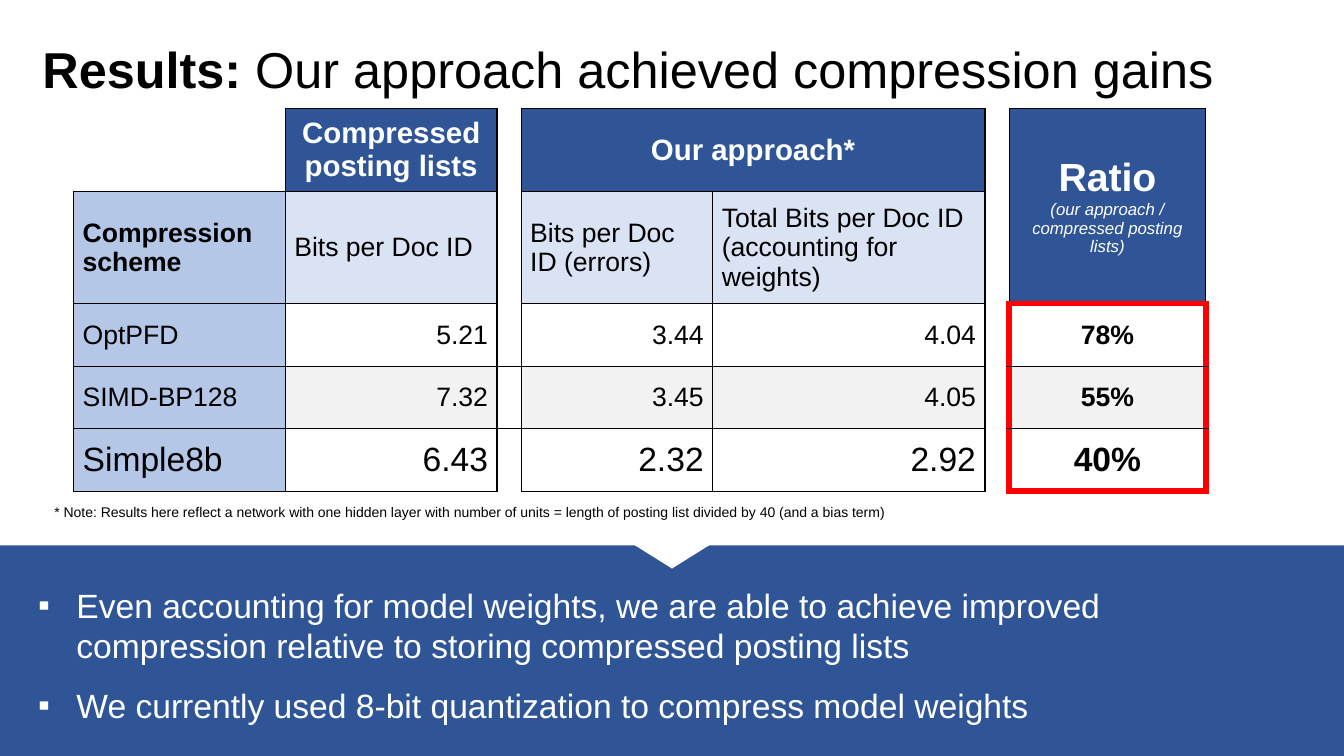
from lxml import etree
from pptx import Presentation
from pptx.dml.color import RGBColor
from pptx.enum.shapes import MSO_SHAPE
from pptx.enum.text import MSO_ANCHOR, PP_ALIGN
from pptx.oxml.ns import qn
from pptx.util import Pt

PX = 9144
LEFT, CENTER, RIGHT = PP_ALIGN.LEFT, PP_ALIGN.CENTER, PP_ALIGN.RIGHT
MIDDLE = MSO_ANCHOR.MIDDLE
RECTANGLE, TRIANGLE = MSO_SHAPE.RECTANGLE, MSO_SHAPE.ISOSCELES_TRIANGLE
BLACK, WHITE, RED = "000000", "FFFFFF", "FF0000"
NAVY, SKY, PALE, GREY = "2F5597", "B4C7E7", "DAE3F3", "F2F2F2"


def color(hex_value):
    return RGBColor.from_string(hex_value)


def add_run(paragraph, text, size, hex_value, bold=False, italic=False):
    run = paragraph.add_run()
    run.text = text
    run.font.name = "Arial"
    run.font.size = Pt(size)
    run.font.bold = bold
    run.font.italic = italic
    run.font.color.rgb = color(hex_value)


deck = Presentation()
deck.slide_width, deck.slide_height = 1333 * PX, 750 * PX
slide = deck.slides.add_slide(deck.slide_layouts[5])

title = slide.shapes.title
title.left, title.top, title.width, title.height = 32 * PX, 23 * PX, 1258 * PX, 98 * PX
title.text_frame.vertical_anchor = MIDDLE
heading = title.text_frame.paragraphs[0]
heading.alignment = LEFT
heading.line_spacing = 0.9
add_run(heading, "Results: ", 36, BLACK, bold=True)
add_run(heading, "Our approach achieved compression gains", 36, BLACK)

column_widths = [210, 210, 23, 190, 270, 23, 195]
row_heights = [82, 109, 62, 62, 62]
results = slide.shapes.add_table(
    5, 7, 73 * PX, 108 * PX, sum(column_widths) * PX, sum(row_heights) * PX).table
results.first_row = False
results.horz_banding = False
for column, width in zip(results.columns, column_widths):
    column.width = width * PX
for row, height in zip(results.rows, row_heights):
    row.height = height * PX
results.cell(0, 3).merge(results.cell(0, 4))
results.cell(0, 6).merge(results.cell(1, 6))

contents = [
    ["", "Compressed posting lists", "", "Our approach*", "", "", "Ratio"],
    ["Compression scheme", "Bits per Doc ID", "", "Bits per Doc ID (errors)",
     "Total Bits per Doc ID (accounting for weights)", "", ""],
    ["OptPFD", "5.21", "", "3.44", "4.04", "", "78%"],
    ["SIMD-BP128", "7.32", "", "3.45", "4.05", "", "55%"],
    ["Simple8b", "6.43", "", "2.32", "2.92", "", "40%"],
]
row_fills = [NAVY, PALE, WHITE, GREY, WHITE]
row_sizes = [21, 19, 19, 19, 24]

for r, texts in enumerate(contents):
    for c, text in enumerate(texts):
        cell = results.cell(r, c)
        gap = c in (2, 5)
        corner = r == 0 and c == 0
        ratio = c == 6
        data = r >= 2

        if gap or corner:
            fill = WHITE
        elif c == 0:
            fill = SKY
        else:
            fill = row_fills[r]
        cell.fill.solid()
        cell.fill.fore_color.rgb = color(fill)

        borders = dict.fromkeys("LRTB", BLACK)
        if gap:
            borders["T"] = BLACK if c == 2 and r in (3, 4) else None
            borders["B"] = BLACK if c == 2 and r in (2, 3) else None
        if corner:
            borders["L"] = borders["T"] = None
        if ratio and data:
            borders["L"] = borders["R"] = RED
        if c == 5 and data:
            borders["R"] = RED
        if ratio and r == 2:
            borders["T"] = RED
        if ratio and r in (0, 1, 4):
            borders["B"] = RED
        properties = cell._tc.get_or_add_tcPr()
        for position, (side, hex_value) in enumerate(borders.items()):
            line = etree.Element(qn("a:ln" + side))
            line.set("w", str(Pt(4.5 if hex_value == RED else 1)))
            if hex_value:
                paint = etree.SubElement(line, qn("a:solidFill"))
                etree.SubElement(paint, qn("a:srgbClr")).set("val", hex_value)
            else:
                etree.SubElement(line, qn("a:noFill"))
            properties.insert(position, line)

        if not text:
            continue
        cell.vertical_anchor = MIDDLE
        cell.margin_left = cell.margin_right = 9 * PX
        cell.margin_top = cell.margin_bottom = 6 * PX
        paragraph = cell.text_frame.paragraphs[0]
        if r == 0 or ratio:
            paragraph.alignment = CENTER
        else:
            paragraph.alignment = RIGHT if data and c > 0 else LEFT
        size = 28 if text == "Ratio" else row_sizes[r]
        bold = r == 0 or ratio or (r == 1 and c == 0)
        add_run(paragraph, text, size, WHITE if r == 0 else BLACK, bold)

ratio_formula = results.cell(0, 6).text_frame.add_paragraph()
ratio_formula.alignment = CENTER
add_run(ratio_formula, "(our approach / compressed posting lists)", 12, WHITE, italic=True)

for kind, left, top, width, height, fill, rotation in [
    (RECTANGLE, -67, 541, 1467, 225, NAVY, 0),
    (TRIANGLE, 625, 538, 83, 26, WHITE, 180),
]:
    panel = slide.shapes.add_shape(kind, left * PX, top * PX, width * PX, height * PX)
    panel.shadow.inherit = False
    panel.fill.solid()
    panel.fill.fore_color.rgb = color(fill)
    panel.line.fill.background()
    panel.rotation = rotation

takeaways = slide.shapes.add_textbox(28 * PX, 575 * PX, 1253 * PX, 151 * PX).text_frame
takeaways.word_wrap = True
for index, takeaway in enumerate([
    "Even accounting for model weights, we are able to achieve improved "
    "compression relative to storing compressed posting lists",
    "We currently used 8-bit quantization to compress model weights",
]):
    paragraph = takeaways.add_paragraph() if index else takeaways.paragraphs[0]
    indents = paragraph._p.get_or_add_pPr()
    indents.set("marL", str(38 * PX))
    indents.set("indent", str(-38 * PX))
    etree.SubElement(indents, qn("a:buFont")).set("typeface", "Arial")
    etree.SubElement(indents, qn("a:buChar")).set("char", "▪")
    if index:
        paragraph.space_before = Pt(14)
    add_run(paragraph, takeaway, 24, WHITE)

footnote = slide.shapes.add_textbox(44 * PX, 495 * PX, 1253 * PX, 27 * PX).text_frame
footnote.word_wrap = True
add_run(footnote.paragraphs[0],
        "* Note: Results here reflect a network with one hidden layer with number of units "
        "= length of posting list divided by 40 (and a bias term)", 10, BLACK)

deck.save("out.pptx")
